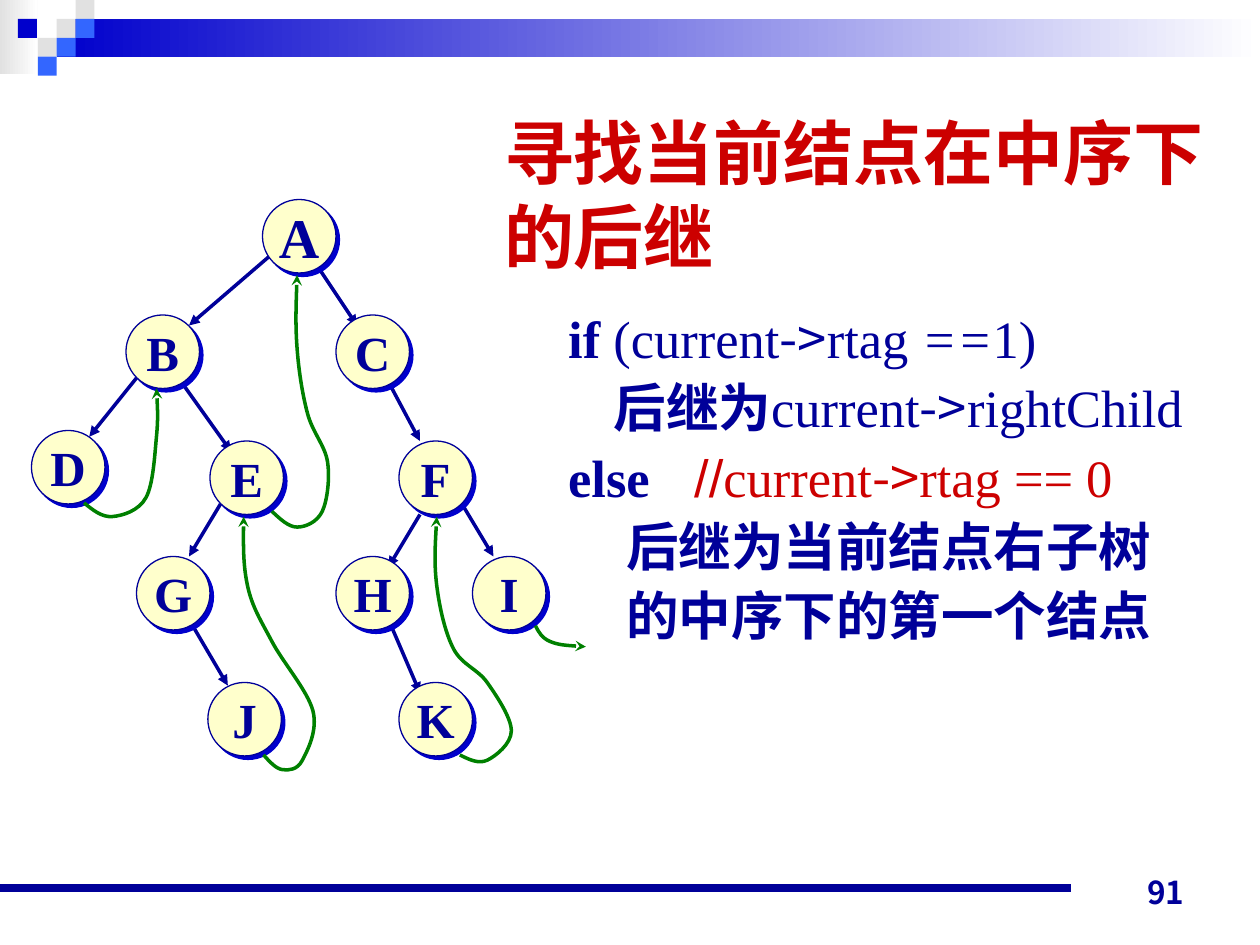
from lxml import etree
from pptx import Presentation
from pptx.dml.color import RGBColor
from pptx.enum.shapes import MSO_CONNECTOR, MSO_SHAPE
from pptx.enum.text import MSO_ANCHOR, MSO_AUTO_SIZE, PP_ALIGN
from pptx.oxml.ns import qn
from pptx.util import Inches, Pt

STRAIGHT = MSO_CONNECTOR.STRAIGHT
RECTANGLE, OVAL = MSO_SHAPE.RECTANGLE, MSO_SHAPE.OVAL
TOP, MIDDLE, BOTTOM = MSO_ANCHOR.TOP, MSO_ANCHOR.MIDDLE, MSO_ANCHOR.BOTTOM
LEFT, CENTER, RIGHT = PP_ALIGN.LEFT, PP_ALIGN.CENTER, PP_ALIGN.RIGHT
NO_FIT = MSO_AUTO_SIZE.NONE

NAVY, BLUE, SKY, GRAY = "000099", "0000CC", "3366FF", "E1E1E1"
RED, GREEN, CREAM, WHITE = "CC0000", "008000", "FFFFCC", "FFFFFF"
SERIF, CJK = "Times New Roman", "Noto Sans CJK SC"

NODE_SIZE = 7
NODES = {
    "A": (25, 19), "B": (12, 30), "C": (32, 30), "D": (3, 41),
    "E": (20, 42), "F": (38, 42), "G": (13, 53), "H": (32, 53),
    "I": (45, 53), "J": (19.8, 65), "K": (38, 65),
}
EDGES = [
    (30, 25, 34, 31), (36.8, 36, 40, 42), (44, 48, 47, 53),
    (40, 49, 37, 54), (37, 59, 40, 66), (25.9, 24.2, 18, 31),
    (17, 36, 22, 43), (21, 48, 18, 53), (18, 59, 21.7, 65.3),
    (13, 36, 8.5, 41.6),
]
THREADS = [
    [(8, 47.9), (10.7, 49.2), (13.9, 47.4), (14.9, 41.6), (14.9, 37)],
    [(25.9, 48.7), (28.3, 50.2), (30.7, 48.7), (31.2, 44), (29.3, 39.4),
     (28.3, 33.2), (28.3, 26.2)],
    [(25.1, 71.9), (26.9, 73.3), (28.8, 72.4), (29.8, 67.7), (25.9, 61.1),
     (23.6, 55.9), (23.2, 49.2)],
    [(43.8, 71.9), (46.4, 72.4), (48.7, 69.6), (46.4, 65), (43.2, 61.8),
     (41.6, 55.8), (41.6, 49.2)],
    [(51, 59.6), (52.4, 61.1), (55.8, 61.6)],
]
ARROW = ("->", {"name": CJK})
CODE = [
    (0, NAVY, False, [("if", {"bold": True}), (" (current", {}), ARROW, ("rtag ", {}),
                      ("==", {"italic": True}), ("1)", {})]),
    (0.36, NAVY, False, [("后继为", {"bold": True}), ("current", {}), ARROW,
                         ("rightChild", {})]),
    (0, RED, False, [("else\t", {"bold": True, "color": NAVY}), ("//", {"name": "Arial"}),
                     ("current", {}), ARROW, ("rtag == 0", {})]),
    (0.46, NAVY, True, [("后继为当前结点右子树", {})]),
    (0.46, NAVY, True, [("的中序下的第一个结点", {})]),
]


def rgb(color):
    """Turn a hex string into a colour."""
    return RGBColor.from_string(color)


def add_child(parent, tag, **attributes):
    """Append a drawing element with the given attributes."""
    values = {key: str(value) for key, value in attributes.items()}
    return etree.SubElement(parent, qn(tag), values)


def style_font(font, size=None, color=None, **traits):
    """Set the given traits of a font."""
    if size:
        font.size = Pt(size)
    if color:
        font.color.rgb = rgb(color)
    for trait, value in traits.items():
        setattr(font, trait, value)


def style_line(shape, color, width, head=None):
    """Set a line's colour, width and optional arrowhead."""
    shape.line.color.rgb = rgb(color)
    shape.line.width = Pt(width)
    if head:
        add_child(shape.line._ln, "a:tailEnd", type=head)


def add_block(page, kind, left, top, width, height, *colors):
    """Add a borderless shape with a solid or left-to-right gradient fill."""
    shape = page.shapes.add_shape(kind, int(left), int(top), int(width), int(height))
    shape.shadow.inherit = False
    shape.line.fill.background()
    if len(colors) == 1:
        shape.fill.solid()
        shape.fill.fore_color.rgb = rgb(colors[0])
    else:
        shape.fill.gradient()
        shape.fill.gradient_angle = 0
        for stop, color in zip(shape.fill.gradient_stops, colors):
            stop.color.rgb = rgb(color)
    return shape


def add_straight(page, ends, color, width, head=None):
    """Add a straight connector without a shadow."""
    line = page.shapes.add_connector(STRAIGHT, *map(int, ends))
    add_child(line._element.spPr, "a:effectLst")
    style_line(line, color, width, head)


def draw_banner(page, width, cell):
    """Draw the gradient bar and checker squares on a square grid."""
    add_block(page, RECTANGLE, 0, 0, 2 * cell, 3.9 * cell, GRAY, WHITE)
    add_block(page, RECTANGLE, 3 * cell, cell, width - 3 * cell, 2 * cell, BLUE, WHITE)
    squares = [(3, 1, GRAY), (4, 0, GRAY), (4, 1, SKY), (2, 2, GRAY),
               (0.95, 1, BLUE), (3, 2, SKY), (2, 3, SKY)]
    for column, row, color in squares:
        add_block(page, RECTANGLE, column * cell, row * cell, cell, cell, color)


def draw_footer(page, width, height):
    """Draw the footer rule and the page number."""
    rule = height * 0.94
    add_straight(page, (0, rule, width * 0.85, rule), NAVY, 4.5)
    box = page.shapes.add_textbox(int(width * 0.72), int(height * 0.904),
                                  int(width * 0.23), Inches(0.5))
    box.text_frame.word_wrap = True
    box.text_frame.vertical_anchor = BOTTOM
    para = box.text_frame.paragraphs[0]
    para.text = "91"
    para.alignment = RIGHT
    style_font(para.font, 18, NAVY, name="Noto Sans CJK JP", bold=True)


def place_text(holder, left, top, width, height):
    """Move a placeholder and give back its top-anchored text frame."""
    holder.left, holder.top, holder.width, holder.height = map(
        Inches, (left, top, width, height))
    frame = holder.text_frame
    frame.word_wrap = True
    frame.auto_size = NO_FIT
    frame.vertical_anchor = TOP
    return frame


def write_title(holder, *box):
    """Write the red heading."""
    para = place_text(holder, *box).paragraphs[0]
    para.text = "寻找当前结点在中序下的后继"
    para.alignment = LEFT
    style_font(para.font, 40, RED, name=SERIF, bold=True)


def write_code(holder, *box):
    """Write the successor rule as indented code lines."""
    frame = place_text(holder, *box)
    for index, (indent, color, bold, spans) in enumerate(CODE):
        para = frame.add_paragraph() if index else frame.paragraphs[0]
        props = para._p.get_or_add_pPr()
        props.set("marL", str(Inches(indent)))
        props.set("indent", "0")
        add_child(props, "a:buNone")
        add_child(add_child(props, "a:tabLst"), "a:tab", pos=Inches(0.97), algn="l")
        para.line_spacing = 1.1
        para.space_before = Pt(0)
        style_font(para.font, 30, color, name=SERIF, bold=bold)
        for text, traits in spans:
            span = para.add_run()
            span.text = text
            style_font(span.font, **traits)


def add_node(page, label, left, top, size):
    """Add a round tree node with a hard shadow."""
    node = add_block(page, OVAL, left, top, size, size, CREAM)
    style_line(node, NAVY, 0.75)
    effects = node._element.spPr.find(qn("a:effectLst"))
    shadow = add_child(effects, "a:outerShdw", blurRad=0, dist=Pt(2.8), dir=2700000,
                       algn="ctr", rotWithShape=0)
    add_child(shadow, "a:srgbClr", val=BLUE)
    frame = node.text_frame
    frame.word_wrap = False
    frame.vertical_anchor = MIDDLE
    para = frame.paragraphs[0]
    para.text = label
    para.alignment = CENTER
    style_font(para.font, 32 if label == "A" else 28, NAVY, name=SERIF, bold=True)


def round_path(shape):
    """Turn a polyline into a smooth curve through the same points."""
    outline = next(shape._element.iter(qn("a:path")))
    points = [(int(pt.get("x")), int(pt.get("y"))) for pt in outline.iter(qn("a:pt"))]
    for step in outline.findall(qn("a:lnTo")):
        outline.remove(step)
    last = len(points) - 2
    for index, (start, end) in enumerate(zip(points, points[1:])):
        before, after = points[max(index - 1, 0)], points[min(index + 2, last + 1)]
        leave = [s + (e - b) / 6 for s, e, b in zip(start, end, before)]
        reach = [e - (a - s) / 6 for s, e, a in zip(start, end, after)]
        if index == 0:
            leave = [(s + r) / 2 for s, r in zip(start, reach)]
        if index == last:
            reach = [(e + v) / 2 for e, v in zip(end, leave)]
        curve = add_child(outline, "a:cubicBezTo")
        for x, y in (leave, reach, end):
            add_child(curve, "a:pt", x=round(x), y=round(y))


def add_thread(page, points):
    """Add a curved green thread ending in an arrowhead."""
    builder = page.shapes.build_freeform(*points[0])
    builder.add_line_segments(points[1:], close=False)
    thread = builder.convert_to_shape()
    thread.shadow.inherit = False
    thread.fill.background()
    style_line(thread, GREEN, 2, "stealth")
    round_path(thread)


def draw_tree(page, left, top, unit):
    """Draw the threaded tree on a grid of square units."""
    def place(column, row):
        return round(left + column * unit), round(top + row * unit)

    for x1, y1, x2, y2 in EDGES:
        add_straight(page, place(x1, y1) + place(x2, y2), NAVY, 2, "triangle")
    for label, spot in NODES.items():
        add_node(page, label, *place(*spot), NODE_SIZE * unit)
    for points in THREADS:
        add_thread(page, [place(*point) for point in points])


def main():
    """Build the slide and save it."""
    deck = Presentation()
    deck.slide_width, deck.slide_height = Inches(10), Inches(7.5)
    page = deck.slides.add_slide(deck.slide_layouts[1])
    draw_banner(page, deck.slide_width, Inches(0.15))
    draw_footer(page, deck.slide_width, deck.slide_height)
    write_title(page.shapes.title, 3.9, 0.82, 5.8, 1.43)
    write_code(page.placeholders[1], 4.41, 2.33, 5.4, 3.4)
    draw_tree(page, 0, 0, deck.slide_width / 120)
    deck.save("out.pptx")


if __name__ == "__main__":
    main()
